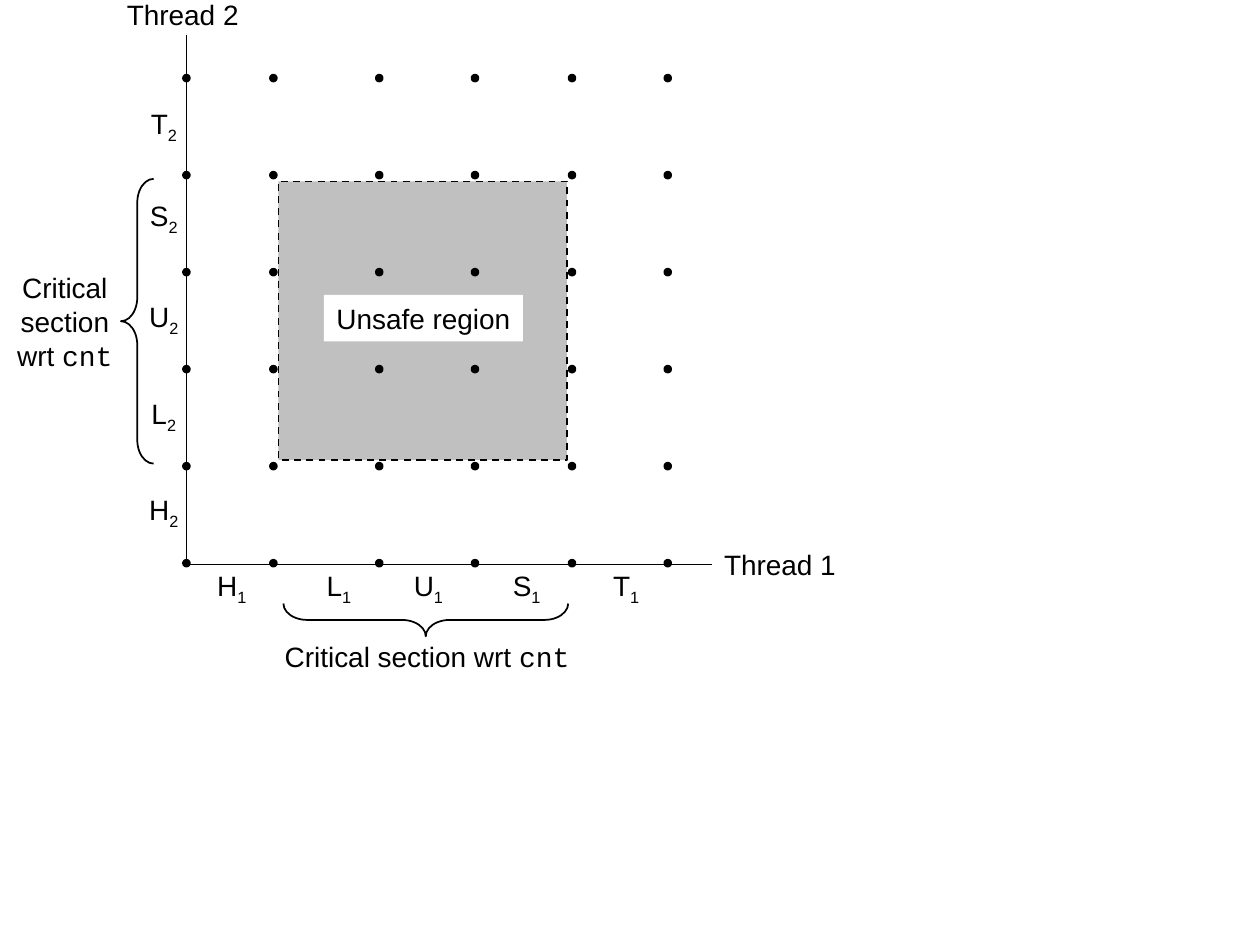
import pptx
import pptx.dml.color
import pptx.enum.dml
import pptx.enum.shapes
import pptx.enum.text
import pptx.oxml.ns
import pptx.util
from lxml import etree

Inches = pptx.util.Inches
Pt = pptx.util.Pt
SHAPES = pptx.enum.shapes.MSO_SHAPE
BLACK, GRAY, WHITE = "000000", "C0C0C0", "FFFFFF"
DOT = 0.04
ROW_STEP = 0.77
COLUMNS = [0, 0.69, 1.53, 2.29, 3.06, 3.82]
OPERATIONS = "HLUST"


def color(value):
    return pptx.dml.color.RGBColor.from_string(value)


def add_shape(page, kind, left, top, width, height, fill=None, line_width=None):
    shape = page.shapes.add_shape(
        kind, Inches(left), Inches(top), Inches(width), Inches(height))
    shape.shadow.inherit = False
    if fill:
        shape.fill.solid()
        shape.fill.fore_color.rgb = color(fill)
    else:
        shape.fill.background()
    if line_width:
        shape.line.color.rgb = color(BLACK)
        shape.line.width = Pt(line_width)
    else:
        shape.line.fill.background()
    return shape


def add_line(page, start, end):
    line = page.shapes.add_connector(
        pptx.enum.shapes.MSO_CONNECTOR.STRAIGHT, *map(Inches, (*start, *end)))
    line.line.color.rgb = color(BLACK)
    line.line.width = Pt(1)
    etree.SubElement(line._element.spPr, pptx.oxml.ns.qn("a:effectLst"))


def write(shape, parts, wrap=False):
    frame = shape.text_frame
    frame.word_wrap = wrap
    frame.auto_size = pptx.enum.text.MSO_AUTO_SIZE.SHAPE_TO_FIT_TEXT
    frame.vertical_anchor = pptx.enum.text.MSO_ANCHOR.MIDDLE
    para = frame.paragraphs[0]
    para.alignment = pptx.enum.text.PP_ALIGN.CENTER
    for text, font in parts:
        span = para.add_run()
        span.text = text
        span.font.name = font
        span.font.size = Pt(16)
        span.font.color.rgb = color(BLACK)
    return para


def add_text(page, left, top, width, height, parts, wrap=False):
    box = page.shapes.add_textbox(
        Inches(left), Inches(top), Inches(width), Inches(height))
    return write(box, parts, wrap)


def add_operation(page, center_x, center_y, name, thread):
    width, height = 0.46, 0.41
    para = add_text(page, center_x - width / 2, center_y - height / 2, width, height,
                    [(name, "Arial"), (thread, "Arial")])
    para.runs[1].font._element.set("baseline", "-25000")


def add_brace(page, left, top, width, height, rotation=0):
    brace = add_shape(page, SHAPES.LEFT_BRACE, left, top, width, height, line_width=1)
    brace.adjustments[0] = 0.73
    brace.rotation = rotation


def add_axes(page, left, top, width, height):
    bottom = top + height
    add_line(page, (left, bottom), (left + width, bottom))
    add_line(page, (left, bottom), (left, top))
    add_text(page, left + width - 0.02, bottom - 0.19, 1.12, 0.37, [("Thread 1", "Arial")])
    add_text(page, left - 0.59, top - 0.35, 1.12, 0.37, [("Thread 2", "Arial")])
    for name, across, up in zip(OPERATIONS, [0.36, 1.21, 1.92, 2.7, 3.49],
                                [0.42, 1.18, 1.95, 2.75, 3.48]):
        add_operation(page, left + across, bottom + 0.18, name, "1")
        add_operation(page, left - 0.18, bottom - up, name, "2")


def add_states(page, left, bottom):
    for row in range(len(COLUMNS)):
        for column in COLUMNS:
            add_shape(page, SHAPES.OVAL, left + column - DOT / 2,
                      bottom - row * ROW_STEP - DOT / 2, DOT, DOT, BLACK, 2)


def add_unsafe_region(page, left, top, width, height):
    region = add_shape(page, SHAPES.RECTANGLE, left, top, width, height, GRAY, 1)
    region.line.dash_style = pptx.enum.dml.MSO_LINE.DASH


def add_unsafe_label(page, left, top, width, height):
    label = add_shape(page, SHAPES.RECTANGLE, left, top, width, height, WHITE)
    write(label, [("Unsafe region", "Arial")])


def add_critical_sections(page, left, bottom):
    parts = [("Critical section wrt ", "Arial"), ("cnt", "Courier New")]
    add_brace(page, left - 0.52, bottom - 3.06, 0.26, 2.26)
    add_brace(page, left + 1.77, bottom - 0.69, 0.26, 2.26, 270)
    add_text(page, left + 0.68, bottom + 0.54, 2.46, 0.37, parts)
    add_text(page, left - 1.48, bottom - 2.38, 1.03, 0.9, parts, wrap=True)


def main():
    deck = pptx.Presentation()
    deck.slide_width, deck.slide_height = Inches(10), Inches(7.5)
    page = deck.slides.add_slide(deck.slide_layouts[6])
    left, top, width, height = 1.48, 0.28, 4.17, 4.2
    bottom = top + height
    add_unsafe_region(page, left + 0.73, top + 1.16, 2.29, 2.21)
    add_axes(page, left, top, width, height)
    add_states(page, left, bottom - 0.01)
    add_unsafe_label(page, left + 1.09, top + 2.06, 1.58, 0.37)
    add_critical_sections(page, left, bottom)
    deck.save("out.pptx")


if __name__ == "__main__":
    main()
